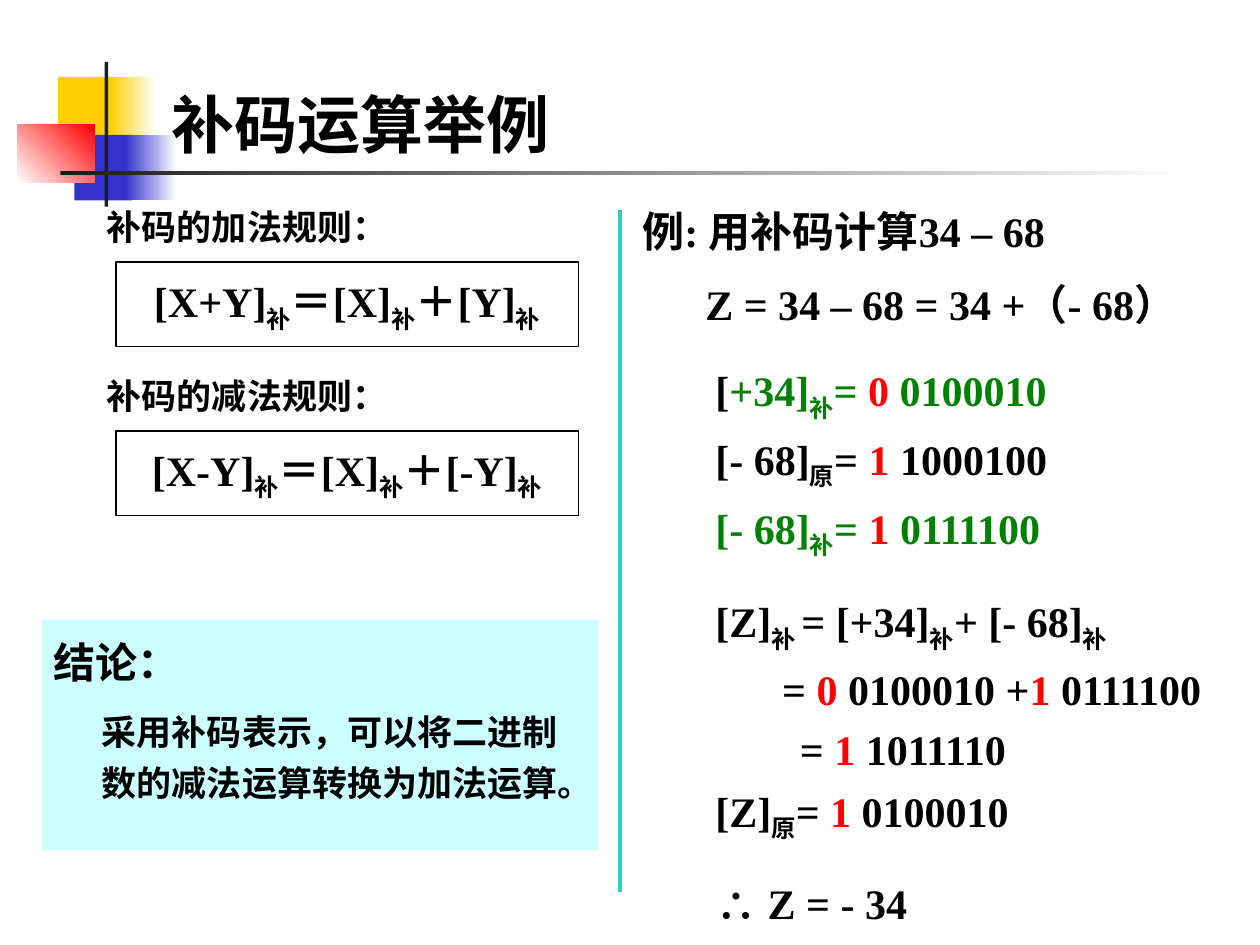
from dataclasses import dataclass

import pptx
import pptx.dml.color
import pptx.enum.shapes
import pptx.enum.text
import pptx.oxml
import pptx.oxml.ns
import pptx.util
from pptx.util import Inches, Pt

SHAPE = pptx.enum.shapes.MSO_SHAPE
ANCHOR = pptx.enum.text.MSO_ANCHOR
ALIGN = pptx.enum.text.PP_ALIGN
BLACK, WHITE, GREEN, RED = "000000", "FFFFFF", "008000", "FF0000"
YELLOW, BLUE, DARK = "FFCF01", "3333CC", "1C1C1C"
SERIF = "Times New Roman"


@dataclass
class Box:
    x: float
    y: float
    w: float
    h: float

    def lengths(self) -> list:
        return [Inches(v) for v in (self.x, self.y, self.w, self.h)]


@dataclass
class Run:
    text: str
    color: str = BLACK
    sub: bool = False


@dataclass
class Para:
    runs: list[Run]
    indent: float = 0
    size: float = 24
    before: float = 0
    font: str = SERIF
    spacing: float = 1.0
    align: int = ALIGN.LEFT


@dataclass
class Block:
    box: Box
    start: str
    end: str = ""
    angle: float = 0


@dataclass
class Rule:
    label: str
    left: str
    right: str
    y: float


def rgb(color: str) -> pptx.dml.color.RGBColor:
    return pptx.dml.color.RGBColor.from_string(color)


def sub(text: str, color: str = BLACK) -> Run:
    return Run(text, color, True)


def write(tf, paras: list[Para], anchor=ANCHOR.TOP, wrap: bool = True) -> None:
    tf.word_wrap = wrap
    tf.vertical_anchor = anchor
    for i, para in enumerate(paras):
        p = tf.add_paragraph() if i else tf.paragraphs[0]
        p.alignment = para.align
        p.line_spacing = para.spacing
        p.space_before = Pt(para.before)
        pPr = p._p.get_or_add_pPr()
        pPr.set("marL", str(Inches(para.indent)))
        pPr.set("indent", "0")
        p.font.name = para.font
        p.font.size = Pt(para.size)
        p.font.bold = True
        p.font.color.rgb = rgb(BLACK)
        for run in para.runs:
            r = p.add_run()
            r.text = run.text
            if run.color != BLACK:
                r.font.color.rgb = rgb(run.color)
            if run.sub:
                r._r.get_or_add_rPr().set("baseline", "-25000")


def add_text(s, box: Box, paras: list[Para], anchor=ANCHOR.TOP, wrap: bool = True) -> None:
    write(s.shapes.add_textbox(*box.lengths()).text_frame, paras, anchor, wrap)


def add_block(s, block: Block, line: str = ""):
    sp = s.shapes.add_shape(SHAPE.RECTANGLE, *block.box.lengths())
    sp.shadow.inherit = False
    if block.end:
        sp.fill.gradient()
        sp.fill.gradient_angle = block.angle
        for stop, color in zip(sp.fill.gradient_stops, (block.start, block.end)):
            stop.color.rgb = rgb(color)
    else:
        sp.fill.solid()
        sp.fill.fore_color.rgb = rgb(block.start)
    if line:
        sp.line.color.rgb = rgb(line)
        sp.line.width = Pt(0.75)
    else:
        sp.line.fill.background()
    return sp


def add_rule(s, rule: Rule) -> None:
    sp = add_block(s, Block(Box(0.92, rule.y + 0.5, 3.67, 0.67), WHITE), BLACK)
    runs = []
    for term in (rule.left, "＝[X]", rule.right):
        runs += [Run(term), sub("补")]
    write(sp.text_frame, [Para(runs, align=ALIGN.CENTER)], ANCHOR.MIDDLE, False)
    label = Para([Run(rule.label)], size=20, font="Cabin")
    add_text(s, Box(0.75, rule.y, 2.44, 0.43), [label], wrap=False)


def add_divider(s, x: float, top: float, bottom: float) -> None:
    line = s.shapes.add_connector(
        pptx.enum.shapes.MSO_CONNECTOR.STRAIGHT, Inches(x), Inches(top), Inches(x), Inches(bottom))
    line.line.color.rgb = rgb("33CCCC")
    line.line.width = Pt(2.25)
    line._element.spPr.append(pptx.oxml.parse_xml(
        f"<a:effectLst {pptx.oxml.ns.nsdecls('a')}/>"))


def step(runs: list[Run], indent: float = 0.58, before: float = 0) -> Para:
    return Para(runs, indent, before=before, spacing=1.2)


def code(name: str, mark: str, sign: str, bits: str, color: str = BLACK) -> list[Run]:
    return [Run(name, color), sub(mark, color), Run("= ", color),
            Run(sign, RED), Run(" " + bits, color)]


DECORATION = [
    Block(Box(0.46, 0.61, 0.48, 0.52), YELLOW),
    Block(Box(0.88, 0.61, 0.36, 0.52), YELLOW, WHITE),
    Block(Box(0.59, 1.07, 0.46, 0.52), BLUE),
    Block(Box(1, 1.07, 0.4, 0.52), BLUE, WHITE),
    Block(Box(0.14, 0.99, 0.61, 0.46), WHITE, RED, 45),
    Block(Box(0.83, 0.49, 0.03, 1.15), DARK),
    Block(Box(0.48, 1.36, 9, 0.03), DARK, WHITE),
]
RULES = [
    Rule("补码的加法规则：", "[X+Y]", "＋[Y]", 1.58),
    Rule("补码的减法规则：", "[X-Y]", "＋[-Y]", 2.92),
]
GAP = 14
STEPS = [
    step([Run("Z = 34 – 68 = 34 +（- 68）")], 0.5),
    step([Run("[")] + code("+34]", "补", "0", "0100010", GREEN), before=GAP),
    step(code("[- 68]", "原", "1", "1000100")),
    step(code("[- 68]", "补", "1", "0111100", GREEN)),
    step([Run("[Z]"), sub("补 "), Run("= [+34]"), sub("补"),
          Run("+ [- 68]"), sub("补")], before=GAP),
    step([Run("= "), Run("0 ", RED), Run("0100010 +"), Run("1 ", RED), Run("0111100")], 1.11),
    step([Run("= "), Run("1 ", RED), Run("1011110")], 1.25),
    step(code("[Z]", "原", "1", "0100010")),
    step([Run("∴ Z = - 34")], before=GAP),
]
CONCLUSION = [
    Para([Run("结论：")], spacing=1.2),
    Para([Run("采用补码表示，可以将二进制数的减法运算转换为加法运算。")],
         0.38, 20, 9, spacing=1.2),
]


def main() -> None:
    prs = pptx.Presentation()
    prs.slide_width, prs.slide_height = Inches(10), Inches(7.5)
    s = prs.slides.add_slide(prs.slide_layouts[6])
    for block in DECORATION:
        add_block(s, block)
    add_text(s, Box(1.26, 0.08, 8.52, 1.25), [Para([Run("补码运算举例")], size=36)], ANCHOR.BOTTOM)
    add_text(s, Box(5, 1.5, 4.75, 0.58), [step([Run("例: 用补码计算34 – 68")], 0)])
    for rule in RULES:
        add_rule(s, rule)
    add_divider(s, 4.92, 1.67, 7.08)
    sp = add_block(s, Block(Box(0.33, 4.92, 4.42, 1.83), "CCFFFF"))
    write(sp.text_frame, CONCLUSION)
    add_text(s, Box(5, 2.08, 5, 5.17), STEPS)
    prs.save("out.pptx")


if __name__ == "__main__":
    main()
